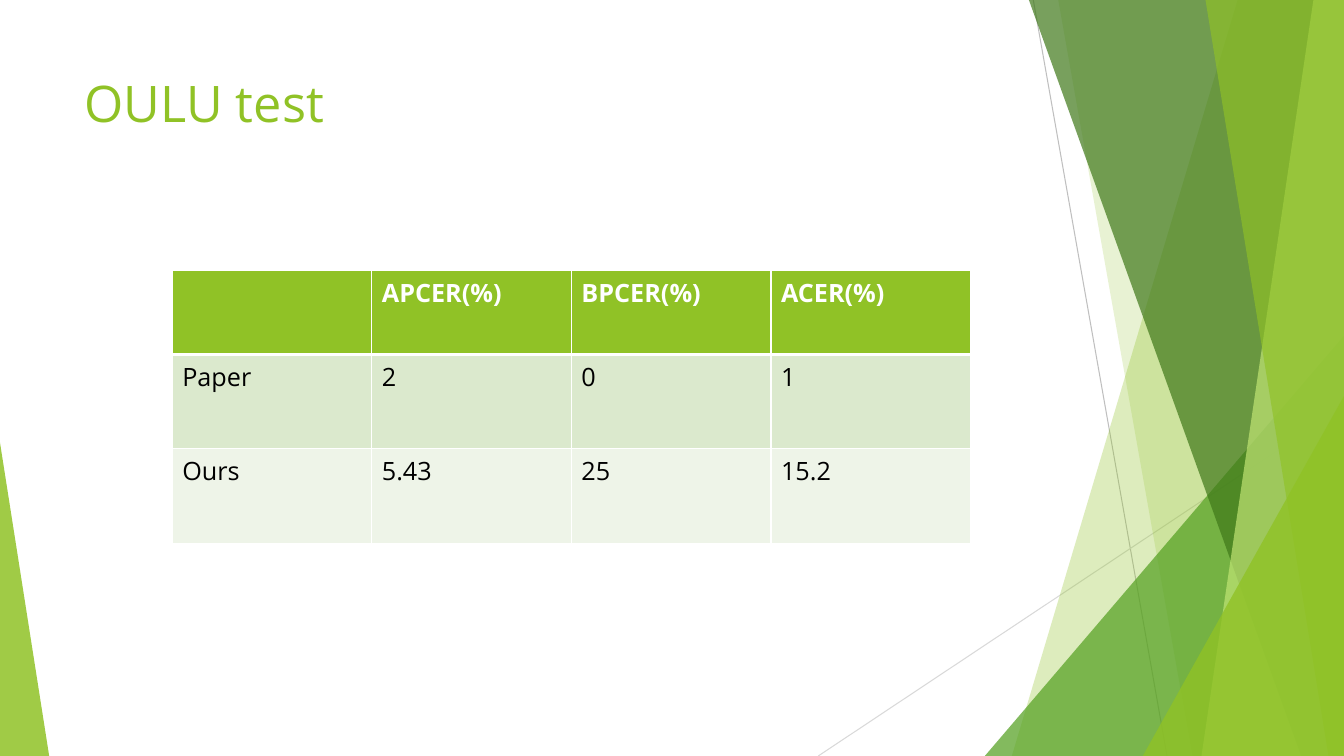
from lxml.etree import SubElement
from pptx import Presentation
from pptx.dml.color import RGBColor
from pptx.enum.shapes import MSO_CONNECTOR as Connector, MSO_SHAPE as Preset
from pptx.enum.text import MSO_ANCHOR as Anchor
from pptx.oxml.ns import qn
from pptx.util import Cm, Pt

FONT = "Open Sans"
WIDTH, HEIGHT = 33.87, 19.05
COLORS = {
    "lime": "90C226", "green": "54A021", "forest": "3F7819", "pale": "C0E474",
    "gray": "BFBFBF", "light_gray": "D9D9D9", "white": "FFFFFF", "black": "000000",
    "band_dark": "DBE9CD", "band_light": "EEF4E8",
}
RESULTS = [
    ["", "APCER(%)", "BPCER(%)", "ACER(%)"],
    ["Paper", "2", "0", "1"],
    ["Ours", "5.43", "25", "15.2"],
]


def rgb(name):
    """Return the named colour."""
    return RGBColor.from_string(COLORS[name])


def paint(shape, color, opacity):
    """Give a shape a translucent fill with no line or shadow."""
    shape.shadow.inherit = False
    shape.line.fill.background()
    shape.fill.solid()
    shape.fill.fore_color.rgb = rgb(color)
    tint = shape.fill._xPr.find(".//" + qn("a:srgbClr"))
    SubElement(tint, qn("a:alpha"), val=str(opacity * 1000))


def add_line(slide, start, end, color):
    """Draw a thin straight line."""
    points = [Cm(value) for value in (*start, *end)]
    line = slide.shapes.add_connector(Connector.STRAIGHT, *points)
    line.line.color.rgb = rgb(color)
    line.line.width = Pt(0.75)
    SubElement(line._element.spPr, qn("a:effectLst"))


def add_facet(slide, top_left, bottom_left, color, opacity):
    """Draw a full-height facet with a slanted left edge."""
    builder = slide.shapes.build_freeform(Cm(top_left), 0)
    corners = [(WIDTH, 0), (WIDTH, HEIGHT), (bottom_left, HEIGHT)]
    builder.add_line_segments([(Cm(x), Cm(y)) for x, y in corners])
    paint(builder.convert_to_shape(), color, opacity)


def add_triangle(slide, left, top, width, apex, color, opacity):
    """Draw a triangle standing on the bottom edge."""
    shape = slide.shapes.add_shape(
        Preset.ISOSCELES_TRIANGLE, Cm(left), Cm(top), Cm(width), Cm(HEIGHT - top))
    shape.adjustments[0] = apex
    paint(shape, color, opacity)


def add_run(para, text, size, color, bold=False):
    """Append one formatted run."""
    span = para.add_run()
    span.text = text
    span.font.name = FONT
    span.font.size = Pt(size)
    span.font.bold = bold
    span.font.color.rgb = rgb(color)


def set_title(slide, text):
    """Place and fill the title in front of the facets."""
    title = slide.shapes.title
    title.left, title.top, title.width, title.height = Cm(1.88), Cm(1.7), Cm(23.88), Cm(3.66)
    frame = title.text_frame
    frame.vertical_anchor = Anchor.TOP
    para = frame.paragraphs[0]
    para.alignment = 1
    add_run(para, text, 36, "lime")
    slide.shapes._spTree.append(title._element)


def set_borders(cell, top, bottom):
    """Draw white cell borders with the given top and bottom widths."""
    properties = cell._tc.get_or_add_tcPr()
    for side, width in {"lnL": 1, "lnR": 1, "lnT": top, "lnB": bottom}.items():
        border = SubElement(properties, qn("a:" + side), w=str(Pt(width)))
        fill = SubElement(border, qn("a:solidFill"))
        SubElement(fill, qn("a:srgbClr"), val=COLORS["white"])


def add_results(slide, rows):
    """Add the table of error rates."""
    heights = [2.12, 2.38, 2.38]
    fills = ["lime", "band_dark", "band_light"]
    column_width = 5.03
    count = len(rows[0])
    table = slide.shapes.add_table(
        len(rows), count, Cm(4.34), Cm(6.81),
        Cm(column_width * count), Cm(sum(heights))).table
    for column in table.columns:
        column.width = Cm(column_width)
    for index, texts in enumerate(rows):
        table.rows[index].height = Cm(heights[index])
        header = index == 0
        for position, text in enumerate(texts):
            cell = table.cell(index, position)
            set_borders(cell, 3 if index == 1 else 1, 3 if header else 1)
            cell.fill.solid()
            cell.fill.fore_color.rgb = rgb(fills[index])
            if text:
                para = cell.text_frame.paragraphs[0]
                add_run(para, text, 18, "white" if header else "black", header)


def add_backdrop(slide):
    """Draw the green facets from back to front."""
    add_line(slide, (26.04, 0), (29.41, HEIGHT), "gray")
    add_line(slide, (WIDTH, 10.24), (20.62, HEIGHT), "light_gray")
    add_facet(slide, 31.19, 25.5, "lime", 30)
    add_facet(slide, 26.67, 30.05, "lime", 20)
    add_triangle(slide, 24.82, 8.46, WIDTH - 24.82, 1, "green", 72)
    add_facet(slide, 25.93, 32.79, "forest", 70)
    add_facet(slide, 33.1, 30.28, "pale", 70)
    add_facet(slide, 30.38, 33.48, "lime", 65)
    add_triangle(slide, 28.8, 9.98, WIDTH - 28.8, 1, "lime", 80)
    add_triangle(slide, 0, 11.15, 1.24, 0, "lime", 85)


def main():
    """Build and save the deck."""
    deck = Presentation()
    deck.slide_width, deck.slide_height = Cm(WIDTH), Cm(HEIGHT)
    slide = deck.slides.add_slide(deck.slide_layouts[5])
    add_backdrop(slide)
    set_title(slide, "OULU test")
    add_results(slide, RESULTS)
    deck.save("out.pptx")


main()
